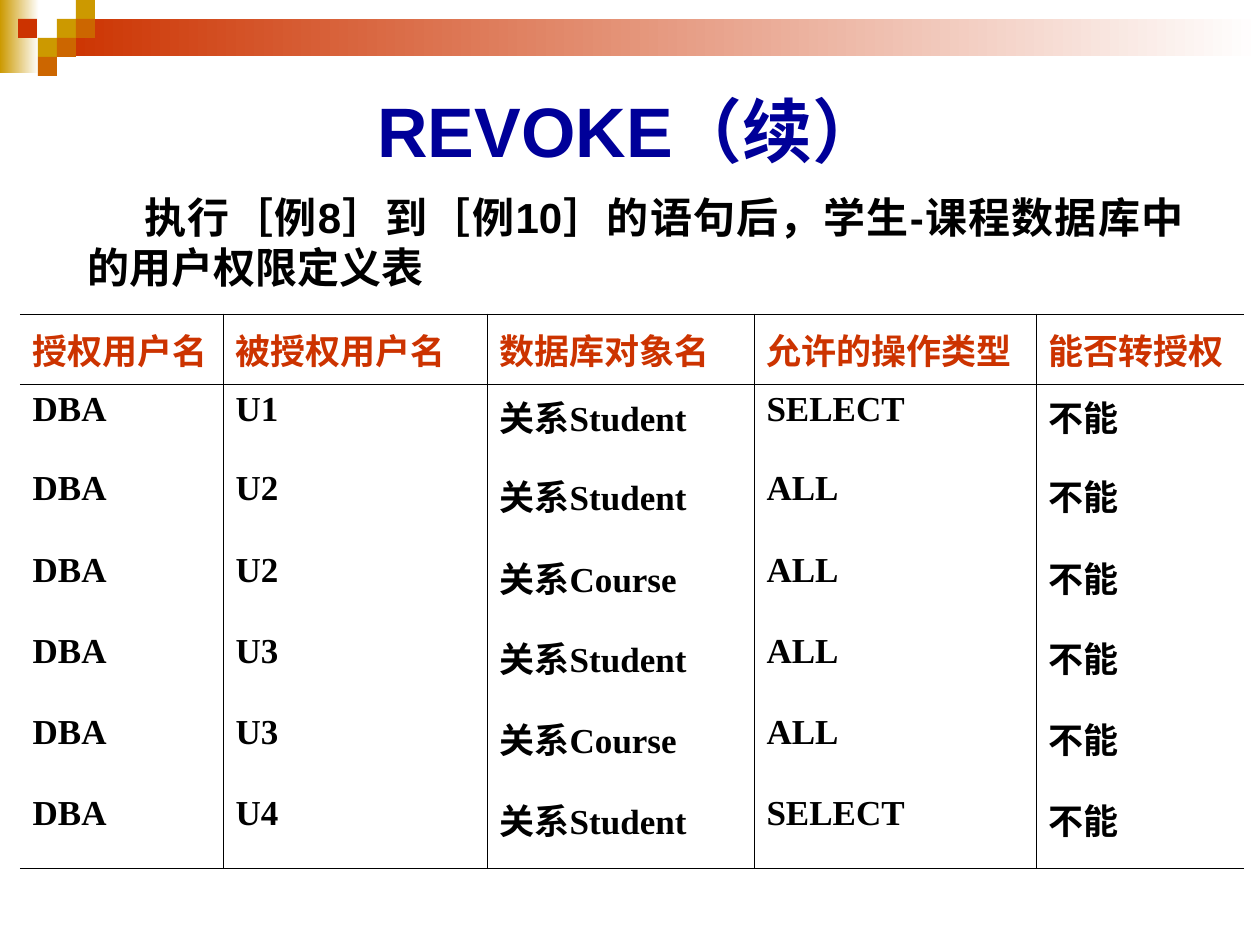
from dataclasses import dataclass

from lxml import etree
from pptx import Presentation
from pptx.dml.color import RGBColor
from pptx.enum.lang import MSO_LANGUAGE_ID
from pptx.enum.shapes import MSO_SHAPE
from pptx.enum.text import MSO_ANCHOR, MSO_AUTO_SIZE, PP_ALIGN
from pptx.oxml.ns import qn
from pptx.util import Emu, Pt

RECT = MSO_SHAPE.RECTANGLE
MIDDLE, TOP = MSO_ANCHOR.MIDDLE, MSO_ANCHOR.TOP
CENTER, JUSTIFY, LEFT = PP_ALIGN.CENTER, PP_ALIGN.JUSTIFY, PP_ALIGN.LEFT
NO_FIT = MSO_AUTO_SIZE.NONE
CHINESE = MSO_LANGUAGE_ID.SIMPLIFIED_CHINESE

WHITE = RGBColor(0xFF, 0xFF, 0xFF)
BLACK = RGBColor(0x00, 0x00, 0x00)
NAVY = RGBColor(0x00, 0x00, 0x99)
RED = RGBColor(0xCC, 0x33, 0x00)
GOLD = RGBColor(0xCC, 0x99, 0x00)
ORANGE = RGBColor(0xCC, 0x66, 0x00)

PX_PER_INCH = 126
SQUARE = 19
BORDER = Pt(0.45)


@dataclass(frozen=True)
class Box:
    x: int
    y: int
    w: int
    h: int


@dataclass(frozen=True)
class Bar:
    box: Box
    color: RGBColor
    fades: bool = False


@dataclass(frozen=True)
class Style:
    font: str
    size: int
    color: RGBColor
    align: PP_ALIGN


def square(x: int, row: int, color: RGBColor) -> Bar:
    return Bar(Box(x, row * SQUARE, SQUARE, SQUARE), color)


BARS = [
    Bar(Box(0, 0, 39, 73), GOLD, True),
    Bar(Box(57, 19, 1203, 37), RED, True),
    square(57, 1, GOLD),
    square(76, 0, GOLD),
    square(76, 1, ORANGE),
    square(38, 2, GOLD),
    square(18, 1, RED),
    square(57, 2, ORANGE),
    square(38, 3, ORANGE),
]

TITLE = Style("Arial", 40, NAVY, CENTER)
BODY = Style("Arial", 24, BLACK, JUSTIFY)
HEADER = Style("Times New Roman", 20, RED, LEFT)
ENTRY = Style("Times New Roman", 20, BLACK, LEFT)

TABLE_BOX = Box(20, 314, 1224, 555)
COL_WIDTHS = [203, 264, 267, 282, 208]
ROW_HEIGHTS = [70, 79, 82, 81, 81, 81, 81]
HEADINGS = ["授权用户名", "被授权用户名", "数据库对象名", "允许的操作类型", "能否转授权"]
GRANTS = [
    ("U1", "Student", "SELECT"),
    ("U2", "Student", "ALL"),
    ("U2", "Course", "ALL"),
    ("U3", "Student", "ALL"),
    ("U3", "Course", "ALL"),
    ("U4", "Student", "SELECT"),
]


def px(n: int) -> Emu:
    return Emu(round(n * 914400 / PX_PER_INCH))


def place(sp, box: Box) -> None:
    sp.left, sp.top, sp.width, sp.height = px(box.x), px(box.y), px(box.w), px(box.h)


def add_text(p, text: str, style: Style) -> None:
    p.alignment = style.align
    p.space_before = Pt(0)
    r = p.add_run()
    r.text = text
    r.font.name = style.font
    r.font.size = Pt(style.size)
    r.font.bold = True
    r.font.color.rgb = style.color
    r.font.language_id = CHINESE


def add_bar(s, bar: Bar) -> None:
    b = bar.box
    sp = s.shapes.add_shape(RECT, px(b.x), px(b.y), px(b.w), px(b.h))
    sp.shadow.inherit = False
    sp.line.fill.background()
    if bar.fades:
        sp.fill.gradient()
        sp.fill.gradient_angle = 0
        for stop, color in zip(sp.fill.gradient_stops, (bar.color, WHITE)):
            stop.color.rgb = color
    else:
        sp.fill.solid()
        sp.fill.fore_color.rgb = bar.color


def fill_placeholder(sp, box: Box, text: str, style: Style, anchor: MSO_ANCHOR,
                     first_indent: int = 0) -> None:
    place(sp, box)
    tf = sp.text_frame
    tf.auto_size = NO_FIT
    tf.word_wrap = True
    tf.vertical_anchor = anchor
    p = tf.paragraphs[0]
    pPr = p._p.get_or_add_pPr()
    pPr.set("marL", "0")
    pPr.set("indent", str(px(first_indent)))
    etree.SubElement(pPr, qn("a:buNone"))
    add_text(p, text, style)


def set_borders(cell, sides: dict[str, bool]) -> None:
    tcPr = cell._tc.get_or_add_tcPr()
    for i, (side, shown) in enumerate(sides.items()):
        ln = etree.Element(qn(f"a:ln{side}"), w=str(BORDER))
        if shown:
            fill = etree.SubElement(ln, qn("a:solidFill"))
            etree.SubElement(fill, qn("a:srgbClr"), val=str(BLACK))
        else:
            etree.SubElement(ln, qn("a:noFill"))
        tcPr.insert(i, ln)


def add_grant_table(s) -> None:
    rows = [HEADINGS]
    rows += [["DBA", user, f"关系{relation}", action, "不能"]
             for user, relation, action in GRANTS]
    b = TABLE_BOX
    table = s.shapes.add_table(len(rows), len(HEADINGS),
                               px(b.x), px(b.y), px(b.w), px(b.h)).table
    table.first_row = False
    table.horz_banding = False
    for col, width in zip(table.columns, COL_WIDTHS):
        col.width = px(width)
    for row, height in zip(table.rows, ROW_HEIGHTS):
        row.height = px(height)
    last_row, last_col = len(rows) - 1, len(HEADINGS) - 1
    for i, texts in enumerate(rows):
        for j, text in enumerate(texts):
            cell = table.cell(i, j)
            cell.fill.background()
            cell.vertical_anchor = TOP if i else MIDDLE
            add_text(cell.text_frame.paragraphs[0], text, ENTRY if i else HEADER)
            set_borders(cell, {"L": j > 0, "R": j < last_col,
                               "T": i < 2, "B": i in (0, last_row)})


def main() -> None:
    prs = Presentation()
    prs.slide_width, prs.slide_height = px(1260), px(945)
    s = prs.slides.add_slide(prs.slide_layouts[1])
    for bar in BARS:
        add_bar(s, bar)
    fill_placeholder(s.shapes.title, Box(63, 63, 1134, 132),
                     "REVOKE（续）", TITLE, MIDDLE)
    fill_placeholder(s.placeholders[1], Box(75, 185, 1121, 139),
                     "执行［例8］到［例10］的语句后，学生-课程数据库中的用户权限定义表",
                     BODY, TOP, first_indent=57)
    add_grant_table(s)
    prs.save("out.pptx")


if __name__ == "__main__":
    main()
